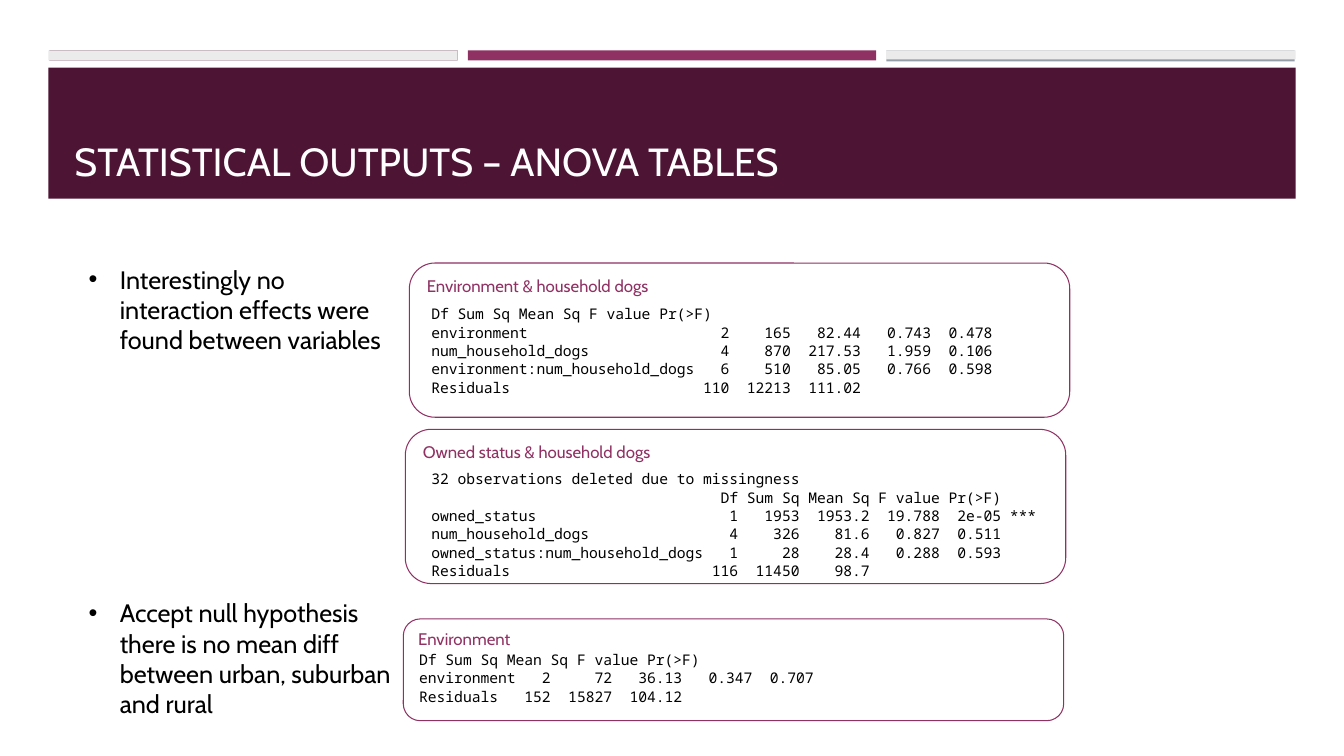
from lxml import etree
from pptx import Presentation
from pptx.dml.color import RGBColor
from pptx.enum.shapes import MSO_SHAPE
from pptx.enum.text import MSO_ANCHOR, PP_ALIGN
from pptx.oxml.ns import qn
from pptx.util import Inches, Pt

RECTANGLE = MSO_SHAPE.RECTANGLE
ROUNDED = MSO_SHAPE.ROUNDED_RECTANGLE
TOP, BOTTOM = MSO_ANCHOR.TOP, MSO_ANCHOR.BOTTOM
LEFT = PP_ALIGN.LEFT

PLUM = RGBColor(0x4D, 0x14, 0x34)
MAGENTA = RGBColor(0x90, 0x31, 0x63)
GREY = RGBColor(0x96, 0x9F, 0xA7)
LIGHT = RGBColor(0xEB, 0xEB, 0xEB)
WHITE = RGBColor(0xFF, 0xFF, 0xFF)
BLACK = RGBColor(0x00, 0x00, 0x00)

TITLE_FONT = {"name": "Cabin", "size": Pt(28)}
BULLET_FONT = {"name": "Cabin", "size": Pt(18)}
LABEL_FONT = {"name": "Cabin", "size": Pt(12)}
CONSOLE_FONT = {"name": "Noto Sans Mono", "size": Pt(10.5)}
CONSOLE_FORMAT = {"line_spacing": Pt(13.1)}

# Bars and band of the header: left, top, width, height, colour
HEADER = [
    (0.49, 0.5, 4.05, 0.1, PLUM),
    (8.79, 0.5, 4.05, 0.11, GREY),
    (4.64, 0.5, 4.05, 0.1, MAGENTA),
    (0.48, 0.67, 12.37, 1.3, PLUM),
    (8.79, 0.5, 4.06, 0.09, LIGHT),
    (0.48, 0.5, 4.06, 0.1, LIGHT),
]

# Rounded frames: left, top, height, label
FRAMES = [
    (4.06, 2.61, 1.53, "Environment & household dogs"),
    (4.02, 4.26, 1.53, "Owned status & household dogs"),
    (4, 6.14, 1.01, "Environment"),
]

FINDINGS = [
    "Interestingly no interaction effects were found between variables",
    "Accept null hypothesis there is no mean diff between urban, suburban and rural",
]

ENVIRONMENT_DOGS = [
    "Df Sum Sq Mean Sq F value Pr(>F)",
    "environment                      2    165   82.44   0.743  0.478",
    "num_household_dogs               4    870  217.53   1.959  0.106",
    "environment:num_household_dogs   6    510   85.05   0.766  0.598",
    "Residuals                      110  12213  111.02",
]
OWNED_DOGS = [
    "32 observations deleted due to missingness",
    "                                 Df Sum Sq Mean Sq F value Pr(>F)",
    "owned_status                      1   1953  1953.2  19.788  2e-05 ***",
    "num_household_dogs                4    326    81.6   0.827  0.511",
    "owned_status:num_household_dogs   1     28    28.4   0.288  0.593",
    "Residuals                       116  11450    98.7",
]
ENVIRONMENT_ONLY = [
    "Df Sum Sq Mean Sq F value Pr(>F)",
    "environment   2     72   36.13   0.347  0.707",
    "Residuals   152  15827  104.12",
]


class SlideBuilder:
    def __init__(self, slide):
        self.slide = slide

    def fill_text(self, frame, groups, font, color, gap=0, layout=None, bullet=False):
        """Fill in groups of lines, with the gap in points before each later group."""
        frame.word_wrap = True
        paragraph = None
        for group_index, lines in enumerate(groups):
            for line_index, line in enumerate(lines):
                paragraph = frame.add_paragraph() if paragraph else frame.paragraphs[0]
                paragraph.text = line
                values = {"alignment": LEFT, **(layout or {})}
                if group_index and not line_index:
                    values["space_before"] = Pt(gap)
                for name, value in values.items():
                    setattr(paragraph, name, value)
                if bullet:
                    self.add_bullet(paragraph)
                for name, value in font.items():
                    setattr(paragraph.font, name, value)
                paragraph.font.color.rgb = color

    def add_bullet(self, paragraph):
        properties = paragraph._p.get_or_add_pPr()
        properties.set("marL", str(Inches(0.31)))
        properties.set("indent", str(Inches(-0.31)))
        etree.SubElement(properties, qn("a:buFont")).set("typeface", "Arial")
        etree.SubElement(properties, qn("a:buChar")).set("char", "•")

    def text(self, left, top, width, height, groups, font, color, anchor=TOP, **options):
        box = self.slide.shapes.add_textbox(
            Inches(left), Inches(top), Inches(width), Inches(height))
        box.text_frame.vertical_anchor = anchor
        self.fill_text(box.text_frame, groups, font, color, **options)

    def shape(self, kind, left, top, width, height):
        shape = self.slide.shapes.add_shape(
            kind, Inches(left), Inches(top), Inches(width), Inches(height))
        shape.shadow.inherit = False
        return shape

    def bar(self, left, top, width, height, color):
        shape = self.shape(RECTANGLE, left, top, width, height)
        shape.fill.solid()
        shape.fill.fore_color.rgb = color
        shape.line.fill.background()

    def frame(self, left, top, height, label):
        shape = self.shape(ROUNDED, left, top, 6.55, height)
        shape.fill.background()
        shape.line.color.rgb = MAGENTA
        shape.line.width = Pt(0.75)
        shape.text_frame.vertical_anchor = TOP
        self.fill_text(shape.text_frame, [[label]], LABEL_FONT, MAGENTA)

    def console(self, left, top, height, groups, gap=0):
        self.text(left, top, 6.67, height, groups, CONSOLE_FONT, BLACK,
                  gap=gap, layout=CONSOLE_FORMAT)


def main():
    presentation = Presentation()
    presentation.slide_width = Inches(13.33)
    presentation.slide_height = Inches(7.5)
    builder = SlideBuilder(presentation.slides.add_slide(presentation.slide_layouts[6]))

    # Header
    for bar in HEADER:
        builder.bar(*bar)
    builder.text(0.64, 0.77, 12.06, 1.11, [["STATISTICAL OUTPUTS – ANOVA TABLES"]],
                 TITLE_FONT, WHITE, anchor=BOTTOM)

    # Findings
    builder.text(0.78, 2.57, 3.28, 4.64, [[finding] for finding in FINDINGS],
                 BULLET_FONT, BLACK, gap=173.5, bullet=True)

    # Framed console outputs
    for frame in FRAMES:
        builder.frame(*frame)
    builder.console(4.18, 2.97, 2.83, [ENVIRONMENT_DOGS, OWNED_DOGS], gap=52.4)
    builder.console(4.06, 6.4, 0.66, [ENVIRONMENT_ONLY])

    presentation.save("out.pptx")


if __name__ == "__main__":
    main()
